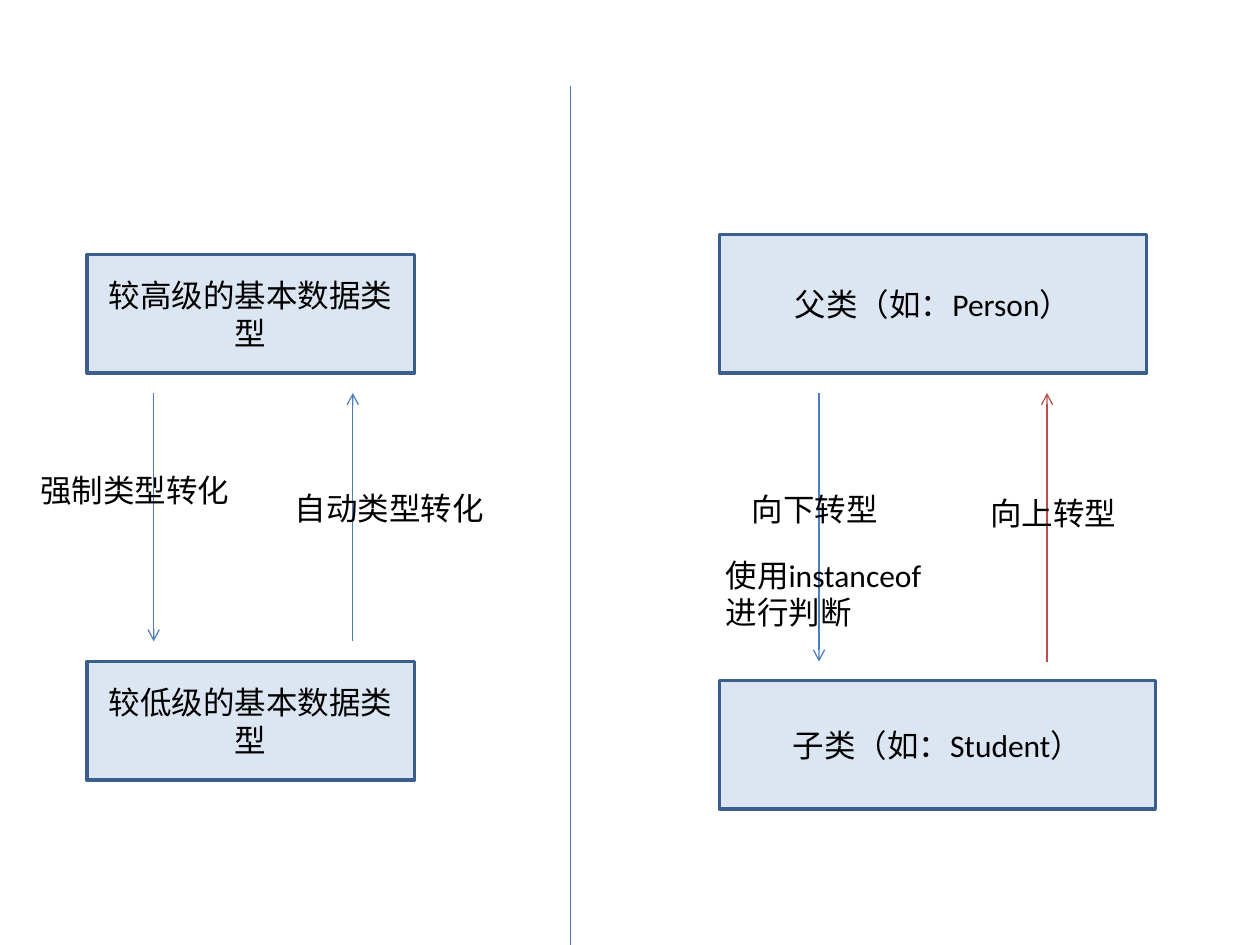
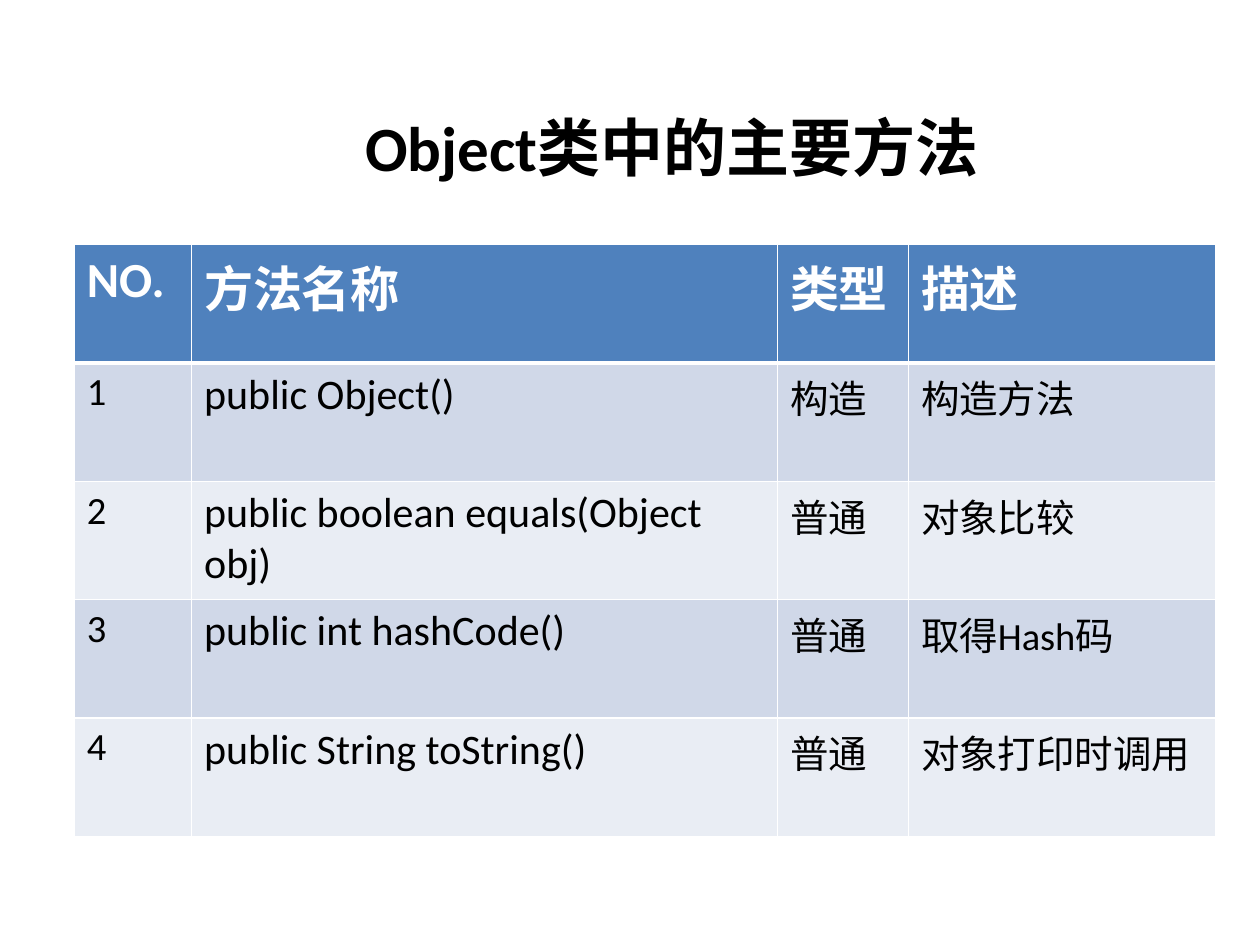
from dataclasses import dataclass

from pptx import Presentation
from pptx import util as u
from pptx.dml.color import RGBColor
from pptx.enum import shapes, text
from pptx.oxml import ns, xmlchemy as xc

PX = 9144  # EMU per px, 100 px to the inch


@dataclass(frozen=True)
class Theme:
    font: str = "Calibri"
    ink: str = "000000"
    white: str = "FFFFFF"
    box_fill: str = "DCE6F2"
    box_line: str = "3A5F8C"
    blue: str = "4B7EBC"
    red: str = "BF4C48"
    header: str = "4F81BD"
    bands: tuple = ("D0D8E8", "E9EDF4")
    body: int = 18
    title: int = 36
    table_head: int = 28
    table_code: int = 24
    table_body: int = 22


T = Theme()


def px(*values):
    return [u.Emu(v * PX) for v in values]


def rgb(color):
    return RGBColor.from_string(color)


def write(tf, content, size, color=T.ink, bold=False, align=None):
    tf.text = content
    tf.word_wrap = True
    p = tf.paragraphs[0]
    p.alignment = align
    font = p.runs[0].font
    font.name, font.size, font.bold = T.font, u.Pt(size), bold
    font.color.rgb = rgb(color)


def add_box(s, content, x, y, w, h):
    sp = s.shapes.add_shape(shapes.MSO_SHAPE.RECTANGLE, *px(x, y, w, h))
    sp.shadow.inherit = False
    sp.fill.solid()
    sp.fill.fore_color.rgb = rgb(T.box_fill)
    sp.line.color.rgb = rgb(T.box_line)
    sp.line.width = u.Pt(2)
    sp.text_frame.vertical_anchor = text.MSO_ANCHOR.MIDDLE
    write(sp.text_frame, content, T.body, align=text.PP_ALIGN.CENTER)


def add_label(s, content, x, y, w, h=40, size=T.body, bold=False):
    tf = s.shapes.add_textbox(*px(x, y, w, h)).text_frame
    write(tf, content, size, bold=bold)
    tf.auto_size = text.MSO_AUTO_SIZE.SHAPE_TO_FIT_TEXT


def add_vertical(s, x, y1, y2, color=T.blue, arrow=True):
    line = s.shapes.add_connector(shapes.MSO_CONNECTOR.STRAIGHT, *px(x, y1, x, y2))
    line.line.color.rgb = rgb(color)
    line.line.width = u.Pt(0.75)
    if arrow:
        tail = xc.OxmlElement("a:tailEnd")
        tail.set("type", "arrow")
        line.line._get_or_add_ln().append(tail)
    line._element.spPr.append(xc.OxmlElement("a:effectLst"))


def set_borders(cell, **widths):
    """Draw white borders; call before the cell is filled."""
    tc_pr = cell._tc.get_or_add_tcPr()
    for side in "LRTB":
        ln = xc.OxmlElement(f"a:ln{side}")
        ln.set("w", str(u.Pt(widths.get(side, 1))))
        fill = xc.OxmlElement("a:solidFill")
        color = xc.OxmlElement("a:srgbClr")
        color.set("val", T.white)
        fill.append(color)
        ln.append(fill)
        tc_pr.append(ln)


def add_grid(s, rows, col_widths, x, y, row_h):
    table = s.shapes.add_table(
        len(rows), len(col_widths),
        *px(x, y, sum(col_widths), row_h * len(rows))).table
    for col, width in zip(table.columns, px(*col_widths)):
        col.width = width
    for i, row in enumerate(rows):
        for j, content in enumerate(row):
            cell = table.cell(i, j)
            if i == 0:
                set_borders(cell, B=3)
                fill, size, color = T.header, T.table_head, T.white
            else:
                set_borders(cell, T=3 if i == 1 else 1)
                fill, color = T.bands[(i - 1) % 2], T.ink
                size = T.table_code if j == 1 else T.table_body
            cell.fill.solid()
            cell.fill.fore_color.rgb = rgb(fill)
            write(cell.text_frame, content, size, color, bold=i == 0)


def build_casting(s):
    # Primitive types
    for content, y in (("较高级的基本数据类型", 202), ("较低级的基本数据类型", 525)):
        add_box(s, content, 69, y, 260, 94)
    add_vertical(s, 280, 509, 312)
    add_label(s, "自动类型转化", 224, 383, 173)
    add_vertical(s, 122, 312, 509)
    add_label(s, "强制类型转化", 22, 369, 199)

    # Divider
    add_vertical(s, 453, 68, 750, arrow=False)

    # Classes
    add_box(s, "父类（如：Person）", 571, 186, 339, 110)
    add_box(s, "子类（如：Student）", 571, 540, 346, 102)
    add_vertical(s, 831, 525, 312, T.red)
    add_label(s, "向上转型", 776, 387, 173)
    add_vertical(s, 650, 312, 525)
    add_label(s, "向下转型", 587, 384, 173)
    add_label(s, "使用instanceof进行判断", 566, 436, 181, 71)


def build_methods(s):
    add_label(s, "Object类中的主要方法", 280, 81, 567, 71, T.title, bold=True)
    rows = [
        ("NO.", "方法名称", "类型", "描述"),
        ("1", "public Object()", "构造", "构造方法"),
        ("2", "public boolean equals(Object obj)", "普通", "对象比较"),
        ("3", "public int hashCode()", "普通", "取得Hash码"),
        ("4", "public String toString()", "普通", "对象打印时调用"),
    ]
    add_grid(s, rows, (93, 465, 104, 244), 59, 194, 94)


def main():
    prs = Presentation()
    prs.slide_width, prs.slide_height = px(1000, 750)
    for build in (build_casting, build_methods):
        build(prs.slides.add_slide(prs.slide_layouts[6]))
    prs.save("out.pptx")


if __name__ == "__main__":
    main()
